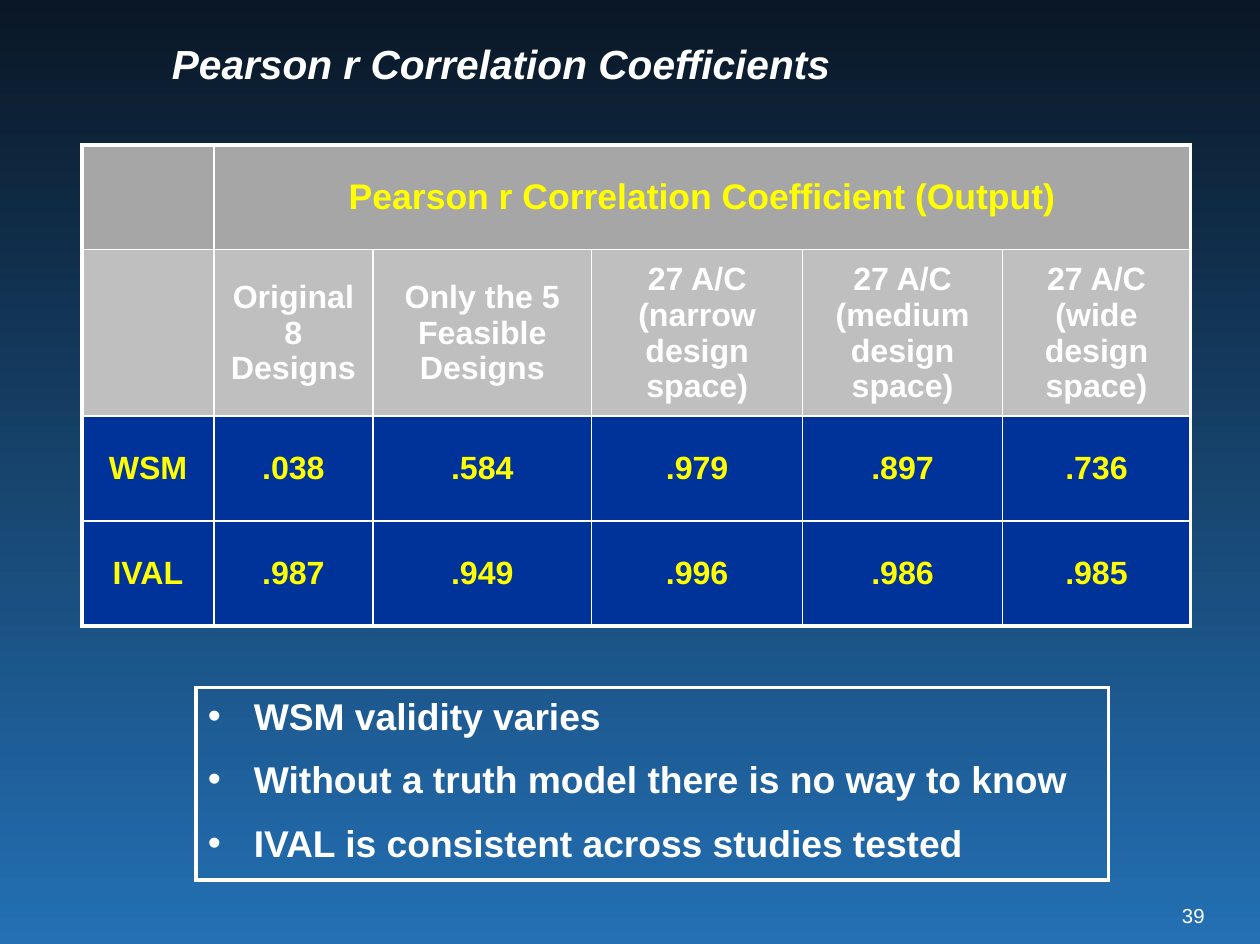
from lxml import etree
from pptx import Presentation
from pptx import util as u
from pptx.dml.color import RGBColor
from pptx.enum import shapes, text
from pptx.oxml import ns

PX = 7501  # EMU in one px
WIDE, TALL = 10.34, 7.75  # slide size in inches
WHITE, YELLOW = "FFFFFF", "FFFF00"
GREY, SILVER, NAVY = "A6A6A6", "BFBFBF", "003399"
LEFT, MID, RIGHT = text.PP_ALIGN.LEFT, text.PP_ALIGN.CENTER, text.PP_ALIGN.RIGHT

# Content
TITLE = "Pearson r Correlation Coefficients"
TABLE = [
    ["", "Pearson r Correlation Coefficient (Output)", "", "", "", ""],
    ["", "Original 8 Designs", "Only the 5 Feasible Designs",
     "27 A/C (narrow design space)", "27 A/C (medium design space)",
     "27 A/C (wide design space)"],
    ["WSM", ".038", ".584", ".979", ".897", ".736"],
    ["IVAL", ".987", ".949", ".996", ".986", ".985"],
]
# fill, text colour, text size, height
ROWS = [(GREY, YELLOW, 21, 105), (SILVER, WHITE, 19, 166),
        (NAVY, YELLOW, 19, 105), (NAVY, YELLOW, 19, 105)]
COLS = [132, 159, 219, 211, 200, 188]
POINTS = ["WSM validity varies",
          "Without a truth model there is no way to know",
          "IVAL is consistent across studies tested"]
PAGE = "39"


def rgb(code):
    return RGBColor.from_string(code)


def px(*sizes):
    return [size * PX for size in sizes]


def write(frame, lines, size, color=WHITE, bold=True, italic=False,
          align=LEFT, lead=None, gap=0, bullet=0):
    frame.word_wrap = True
    for i, line in enumerate(lines):
        para = frame.paragraphs[0] if i == 0 else frame.add_paragraph()
        if bullet:
            props = para._p.get_or_add_pPr()
            props.set("marL", str(bullet * PX))
            props.set("indent", str(-bullet * PX))
            font = etree.SubElement(props, ns.qn("a:buFont"))
            font.set("typeface", "Arial")
            mark = etree.SubElement(props, ns.qn("a:buChar"))
            mark.set("char", "•")
        para.alignment = align
        if lead:
            para.line_spacing = u.Pt(lead)
        if gap and i:
            para.space_before = u.Pt(gap)
        run = para.add_run()
        run.text = line
        font = run.font
        font.name, font.size = "Arial", u.Pt(size)
        font.bold, font.italic = bold, italic
        font.color.rgb = rgb(color)


def edge(cell, heavy):
    """Draw the four cell borders; sides in heavy are thicker."""
    props = cell._tc.get_or_add_tcPr()
    for i, side in enumerate("LRTB"):
        line = etree.Element(ns.qn("a:ln" + side))
        line.set("w", str(u.Pt(2.25 if side in heavy else 1)))
        fill = etree.SubElement(line, ns.qn("a:solidFill"))
        etree.SubElement(fill, ns.qn("a:srgbClr")).set("val", WHITE)
        props.insert(i, line)


# Slide and background
deck = Presentation()
deck.slide_width, deck.slide_height = u.Inches(WIDE), u.Inches(TALL)
slide = deck.slides.add_slide(deck.slide_layouts[6])
back = slide.background.fill
back.gradient()
back.gradient_angle = 270
for stop, place, color in zip(back.gradient_stops, (0, 1), ("0A1726", "2370B4")):
    stop.position, stop.color.rgb = place, rgb(color)

# Title
title = slide.shapes.add_textbox(*px(160, 0, 880, 132)).text_frame
title.vertical_anchor = text.MSO_ANCHOR.MIDDLE
write(title, [TITLE], 24, italic=True, lead=26)

# Table
high = [row[3] for row in ROWS]
grid = slide.shapes.add_table(
    len(ROWS), len(COLS), *px(82, 145, sum(COLS), sum(high))).table
grid.first_row = grid.horz_banding = False
for col, wide in zip(grid.columns, COLS):
    col.width = wide * PX
for row, tall in zip(grid.rows, high):
    row.height = tall * PX
grid.cell(0, 1).merge(grid.cell(0, len(COLS) - 1))
for r, (fill, color, size, _) in enumerate(ROWS):
    for c, words in enumerate(TABLE[r]):
        cell = grid.cell(r, c)
        cell.vertical_anchor = text.MSO_ANCHOR.MIDDLE
        cell.fill.solid()
        cell.fill.fore_color.rgb = rgb(fill)
        last = c == len(COLS) - 1 or cell.is_merge_origin
        edge(cell, "L" * (c == 0) + "R" * last
             + "T" * (r == 0) + "B" * (r == len(ROWS) - 1))
        if words:
            write(cell.text_frame, [words], size, color, align=MID)

# Findings box
box = slide.shapes.add_shape(shapes.MSO_SHAPE.RECTANGLE, *px(196, 688, 913, 193))
box.shadow.inherit = False
box.fill.background()
box.line.color.rgb = rgb(WHITE)
box.line.width = u.Pt(2.25)
etree.SubElement(box.line._get_or_add_ln(), ns.qn("a:miter")).set("lim", "800000")
box.text_frame.vertical_anchor = text.MSO_ANCHOR.TOP
write(box.text_frame, POINTS, 22, gap=11, bullet=46)

# Page number
page = slide.shapes.add_textbox(*px(1180, 904, 25, 24)).text_frame
page.margin_left = page.margin_right = page.margin_top = page.margin_bottom = 0
write(page, [PAGE], 12, bold=False, align=RIGHT)

deck.save("out.pptx")
